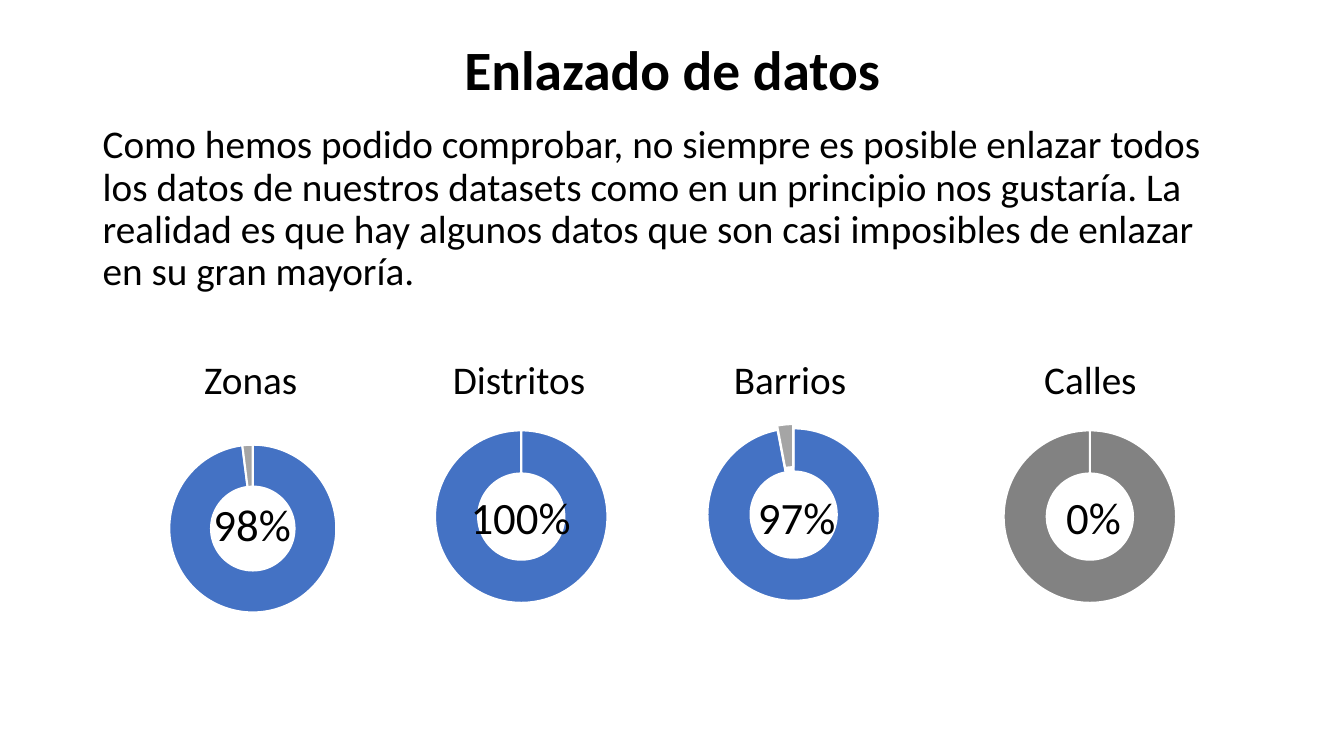
from lxml import etree
from pptx import Presentation
from pptx import util as u
from pptx.chart.data import CategoryChartData
from pptx.dml.color import RGBColor
from pptx.enum import chart as charts, text
from pptx.oxml.ns import qn

Cm, Pt = u.Cm, u.Pt
COLORS = {"text": "000000", "gap": "FFFFFF", "linked": "4472C4",
          "unlinked": "A5A5A5", "none": "828282", "none_rest": "9B9B9B",
          "orange": "ED7D31"}

deck = Presentation()
deck.slide_width, deck.slide_height = Cm(33.87), Cm(19.05)
page = deck.slides.add_slide(deck.slide_layouts[6])


def add_text(words, left, top, width, height, size, align=text.PP_ALIGN.LEFT,
             bold=False, spacing=0.9, anchor=text.MSO_ANCHOR.TOP):
    box = page.shapes.add_textbox(Cm(left), Cm(top), Cm(width), Cm(height))
    frame = box.text_frame
    frame.word_wrap = True
    frame.vertical_anchor = anchor
    para = frame.paragraphs[0]
    para.text = words
    para.alignment = align
    para.line_spacing = spacing
    para.font.name = "Calibri"
    para.font.size = Pt(size)
    para.font.bold = bold
    para.font.color.rgb = RGBColor.from_string(COLORS["text"])


def add_ring(values, colors, area, layout, explosion):
    """Doughnut chart; layout holds the plot's x, y, w, h as chart fractions."""
    data = CategoryChartData()
    data.categories = ["1", "2"]
    data.add_series("Series 1", values)
    chart = page.shapes.add_chart(charts.XL_CHART_TYPE.DOUGHNUT,
                                  *[Cm(length) for length in area], data).chart
    chart.has_legend = chart.has_title = False
    chart.font.name, chart.font.size = "Calibri", Pt(10)
    chart.font.color.rgb = RGBColor.from_string(COLORS["text"])
    plot = chart.plots[0]
    plot.vary_by_categories = True
    series = plot.series[0]
    for index, color in enumerate(colors):
        look = series.points[index].format
        look.fill.solid()
        look.fill.fore_color.rgb = RGBColor.from_string(COLORS[color])
        look.line.color.rgb = RGBColor.from_string(COLORS["gap"])
        look.line.width = Pt(1.5)

    root = chart.element
    root.find(".//" + qn("c:holeSize")).set("val", "75")
    if explosion:
        burst = etree.Element(qn("c:explosion"), val=str(explosion))
        root.find(".//" + qn("c:ser")).find(qn("c:tx")).addnext(burst)
    plot_area = root.find(".//" + qn("c:plotArea"))
    for old in plot_area.findall(qn("c:layout")):
        plot_area.remove(old)
    holder = etree.Element(qn("c:layout"))
    plot_area.insert(0, holder)
    manual = etree.SubElement(holder, qn("c:manualLayout"))
    settings = [("layoutTarget", "inner"), ("xMode", "edge"), ("yMode", "edge"),
                *zip("xywh", layout)]
    for name, value in settings:
        etree.SubElement(manual, qn("c:" + name), val=str(value))


add_text("Enlazado de datos", 2.34, 1.02, 29.21, 1.6, 39.6,
         align=text.PP_ALIGN.CENTER, bold=True, anchor=text.MSO_ANCHOR.MIDDLE)
add_text("Como hemos podido comprobar, no siempre es posible enlazar todos los "
         "datos de nuestros datasets como en un principio nos gustaría. La "
         "realidad es que hay algunos datos que son casi imposibles de enlazar "
         "en su gran mayoría.", 2.34, 3.02, 29.21, 4.6, 28)

blue = ("linked", "unlinked")
narrow, wide = (0, 0.11, 0.75, 0.88), (0.03, 0, 0.79, 0.91)
# label, label centre, share, share left and top, values, colours,
# chart left, top and height, plot layout, explosion
rings = [
    ("Zonas", 6.32, "98%", 5.13, 12.4, (98, 2), blue,
     4.24, 10.01, 6.02, narrow, 0),
    ("Distritos", 13.08, "100%", 11.61, 12.22, (100, 0), ("linked", "orange"),
     10.74, 10.54, 5.33, wide, 5),
    ("Barrios", 19.91, "97%", 18.85, 12.22, (97, 3), blue,
     17.6, 10.49, 5.33, wide, 5),
    ("Calles", 27.48, "0%", 26.62, 12.22, (100, 0), ("none", "none_rest"),
     25.07, 10.54, 5.33, wide, 5),
]
for (label, centre, share, share_left, share_top, values, colors,
     left, top, height, layout, explosion) in rings:
    add_text(label, centre - 2, 8.97, 4, 1.4, 28, align=text.PP_ALIGN.CENTER)
    add_ring(values, colors, (left, top, 5.64, height), layout, explosion)
    add_text(share, share_left, share_top, 3.15, 1.63, 32, spacing=1)

deck.save("out.pptx")
